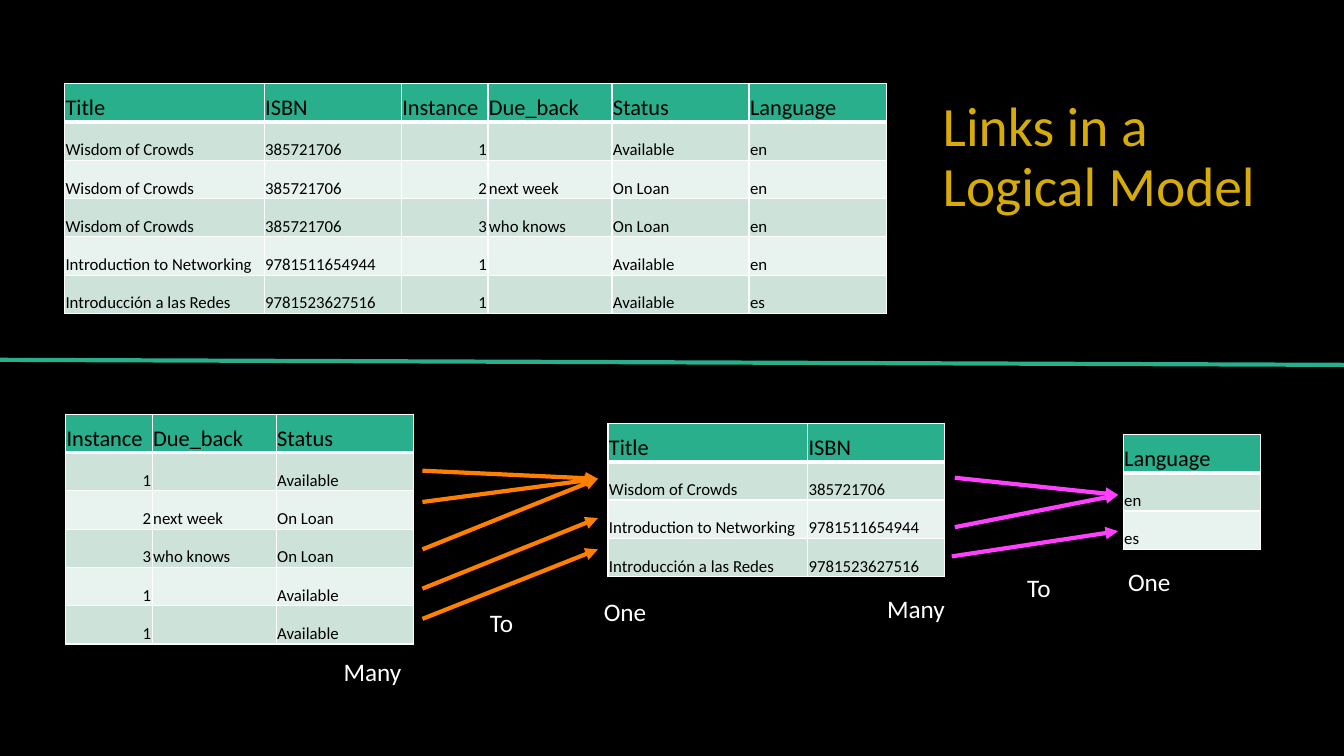
from dataclasses import dataclass
from lxml.etree import SubElement
from pptx import Presentation
from pptx.dml.color import RGBColor
from pptx.enum.shapes import MSO_CONNECTOR
from pptx.enum.text import MSO_ANCHOR, MSO_AUTO_SIZE, PP_ALIGN
from pptx.oxml import parse_xml
from pptx.oxml.ns import nsdecls, qn
from pptx.util import Inches, Pt


@dataclass(frozen=True)
class Theme:
    font: str = "Calibri"
    back: str = "000000"
    ink: str = "000000"
    light: str = "FFFFFF"
    green: str = "29AF8C"
    bands: tuple = ("CDE3DA", "E8F2EE")
    gold: str = "D7AC08"
    orange: str = "FF7F00"
    pink: str = "FF40FF"
    title: float = 39.6
    label: int = 18
    head: int = 16
    body: int = 12
    thin: int = 1
    thick: int = 3
    row: float = 0.38


WIDTHS = {"Title": 1.98, "ISBN": 1.36, "Instance": 0.86,
          "Due_back": 1.23, "Status": 1.36, "Language": 1.36}
BOOKS = [
    ("Wisdom of Crowds", "385721706", "1", "", "Available", "en"),
    ("Wisdom of Crowds", "385721706", "2", "next week", "On Loan", "en"),
    ("Wisdom of Crowds", "385721706", "3", "who knows", "On Loan", "en"),
    ("Introduction to Networking", "9781511654944", "1", "", "Available", "en"),
    ("Introducción a las Redes", "9781523627516", "1", "", "Available", "es"),
]


def pick(names):
    spots = [list(WIDTHS).index(name) for name in names]
    return [tuple(book[spot] for spot in spots) for book in BOOKS]


def unique(rows):
    return list(dict.fromkeys(rows))


class Deck:
    def __init__(self, theme):
        self.theme = theme
        self.file = Presentation()
        self.file.slide_width = Inches(13.33)
        self.file.slide_height = Inches(7.5)
        self.slide = self.file.slides.add_slide(self.file.slide_layouts[5])
        fill = self.slide.background.fill
        fill.solid()
        fill.fore_color.rgb = RGBColor.from_string(theme.back)

    def style(self, para, size, color):
        para.font.name = self.theme.font
        para.font.size = Pt(size)
        para.font.bold = False
        para.font.color.rgb = RGBColor.from_string(color)

    def title(self, text, left, top, width, height):
        shape = self.slide.shapes.title
        shape.left, shape.top = Inches(left), Inches(top)
        shape.width, shape.height = Inches(width), Inches(height)
        frame = shape.text_frame
        frame.text = text
        frame.word_wrap = True
        frame.auto_size = MSO_AUTO_SIZE.NONE
        frame.vertical_anchor = MSO_ANCHOR.MIDDLE
        para = frame.paragraphs[0]
        para.alignment = PP_ALIGN.LEFT
        para.line_spacing = 0.9
        self.style(para, self.theme.title, self.theme.gold)

    def label(self, text, left, top, width):
        box = self.slide.shapes.add_textbox(
            Inches(left), Inches(top), Inches(width), Inches(0.4))
        frame = box.text_frame
        frame.text = text
        frame.word_wrap = False
        frame.auto_size = MSO_AUTO_SIZE.SHAPE_TO_FIT_TEXT
        self.style(frame.paragraphs[0], self.theme.label, self.theme.light)

    def line(self, start, end, color, arrow=True):
        link = self.slide.shapes.add_connector(
            MSO_CONNECTOR.STRAIGHT, *map(Inches, start + end))
        link.line.color.rgb = RGBColor.from_string(color)
        link.line.width = Pt(self.theme.thick)
        if arrow:
            SubElement(link.line._get_or_add_ln(), qn("a:tailEnd"), type="triangle")
        SubElement(link._element.spPr, qn("a:effectLst"))

    def border(self, cell, row):
        props = cell._tc.get_or_add_tcPr()
        bold = {"T": row == 1, "B": row == 0}
        for spot, side in enumerate("LRTB"):
            size = self.theme.thick if bold.get(side) else self.theme.thin
            props.insert(spot, parse_xml(
                f'<a:ln{side} {nsdecls("a")} w="{Pt(size)}"><a:solidFill>'
                f'<a:srgbClr val="{self.theme.light}"/></a:solidFill></a:ln{side}>'))

    def cell(self, cell, text, row, name):
        theme = self.theme
        cell.text = text
        cell.vertical_anchor = MSO_ANCHOR.BOTTOM
        cell.margin_left = cell.margin_right = cell.margin_top = Inches(0.01)
        cell.margin_bottom = 0
        cell.fill.solid()
        color = theme.bands[(row - 1) % 2] if row else theme.green
        cell.fill.fore_color.rgb = RGBColor.from_string(color)
        para = cell.text_frame.paragraphs[0]
        if row and name == "Instance":
            para.alignment = PP_ALIGN.RIGHT
        self.style(para, theme.body if row else theme.head, theme.ink)
        self.border(cell, row)

    def table(self, left, top, names, rows):
        lines = [names] + rows
        wide = sum(WIDTHS[name] for name in names)
        high = self.theme.row * len(lines)
        grid = self.slide.shapes.add_table(
            len(lines), len(names), Inches(left), Inches(top),
            Inches(wide), Inches(high)).table
        grid.horz_banding = False
        for col, name in zip(grid.columns, names):
            col.width = Inches(WIDTHS[name])
        for row, values in enumerate(lines):
            grid.rows[row].height = Inches(self.theme.row)
            for col, text in enumerate(values):
                self.cell(grid.cell(row, col), text, row, names[col])


def main():
    theme = Theme()
    deck = Deck(theme)
    deck.title("Links in a Logical Model", 9.25, 0.85, 3.35, 1.45)
    deck.line((0, 3.57), (13.33, 3.62), theme.green, arrow=False)

    loan = ("Instance", "Due_back", "Status")
    work = ("Title", "ISBN")
    tongue = ("Language",)
    deck.table(0.64, 0.83, tuple(WIDTHS), BOOKS)
    deck.table(0.65, 4.11, loan, pick(loan))
    deck.table(6.03, 4.2, work, unique(pick(work)))
    deck.table(11.14, 4.31, tongue, unique(pick(tongue)))

    for start, end in ((4.67, 4.75), (4.98, 4.75), (5.45, 4.75),
                       (5.84, 5.14), (6.14, 5.45)):
        deck.line((4.19, start), (5.93, end), theme.orange)
    for left, start, end in ((9.47, 4.74, 4.91), (9.47, 5.23, 4.91),
                             (9.44, 5.52, 5.27)):
        deck.line((left, start), (11.09, end), theme.pink)

    sizes = {"Many": 0.78, "To": 0.44, "One": 0.63}
    for text, left, top in (("Many", 3.31, 6.46), ("To", 4.76, 5.98),
                            ("One", 5.89, 5.87), ("Many", 8.7, 5.84),
                            ("To", 10.09, 5.63), ("One", 11.09, 5.57)):
        deck.label(text, left, top, sizes[text])
    deck.file.save("out.pptx")


if __name__ == "__main__":
    main()
